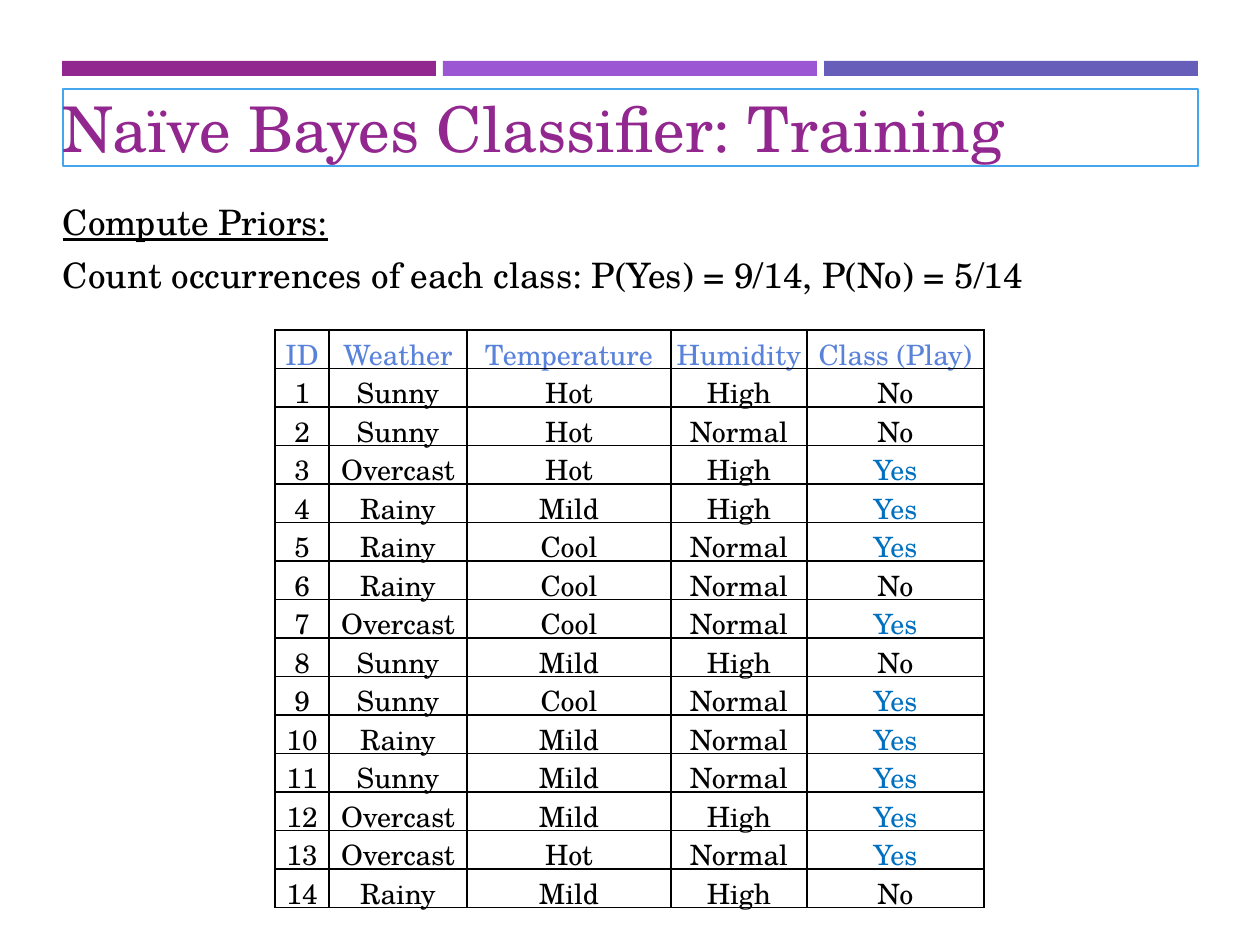
"""Build the Naïve Bayes training slide with its table of weather examples."""
from dataclasses import dataclass

from lxml.etree import SubElement
from pptx import Presentation
from pptx.dml.color import RGBColor as RGB
from pptx.enum.shapes import MSO_SHAPE as Shape
from pptx.enum.text import MSO_ANCHOR as Anchor, MSO_AUTO_SIZE as Auto, PP_ALIGN as Align
from pptx.oxml.ns import qn
from pptx.util import Emu, Pt

EMU_PER_PX = 914400 / 126


@dataclass(frozen=True)
class Theme:
    font: str = "TeX Gyre Schola"
    title_pt: int = 36
    body_pt: int = 20
    cell_pt: int = 16
    title: str = "92278F"
    frame: str = "45A5ED"
    ink: str = "000000"
    header: str = "5982DB"
    yes: str = "0070C0"
    bars: tuple[str, ...] = ("92278F", "9B57D3", "665EB8")


@dataclass(frozen=True)
class Box:
    x: int
    y: int
    w: int
    h: int

    def emu(self) -> tuple[Emu, ...]:
        return tuple(px(v) for v in (self.x, self.y, self.w, self.h))


@dataclass(frozen=True)
class Line:
    text: str
    size: int
    color: str
    align: Align = Align.LEFT
    underline: bool = False
    after: int = 0
    spacing: float = 1.0


T = Theme()
BAR, BAR_GAP = Box(62, 61, 374, 15), 7
TITLE_BOX = Box(63, 89, 1135, 77)
BODY_BOX = Box(63, 200, 1135, 96)
TABLE_BOX = Box(275, 330, 709, 578)
COL_WIDTHS = (54, 138, 204, 136, 177)

TITLE = [Line("Naïve Bayes Classifier: Training", T.title_pt, T.title)]
BODY = [
    Line("Compute Priors:", T.body_pt, T.ink, Align.JUSTIFY, True, 6),
    Line("Count occurrences of each class: P(Yes) = 9/14, P(No) = 5/14",
         T.body_pt, T.ink, after=6),
]
HEADER = ("ID", "Weather", "Temperature", "Humidity", "Class (Play)")
EXAMPLES = (
    ("Sunny", "Hot", "High", "No"),
    ("Sunny", "Hot", "Normal", "No"),
    ("Overcast", "Hot", "High", "Yes"),
    ("Rainy", "Mild", "High", "Yes"),
    ("Rainy", "Cool", "Normal", "Yes"),
    ("Rainy", "Cool", "Normal", "No"),
    ("Overcast", "Cool", "Normal", "Yes"),
    ("Sunny", "Mild", "High", "No"),
    ("Sunny", "Cool", "Normal", "Yes"),
    ("Rainy", "Mild", "Normal", "Yes"),
    ("Sunny", "Mild", "Normal", "Yes"),
    ("Overcast", "Mild", "High", "Yes"),
    ("Overcast", "Hot", "Normal", "Yes"),
    ("Rainy", "Mild", "High", "No"),
)


def px(n: int) -> Emu:
    return Emu(round(n * EMU_PER_PX))


def write(tf, lines: list[Line]) -> None:
    for i, line in enumerate(lines):
        p = tf.add_paragraph() if i else tf.paragraphs[0]
        p.alignment, p.line_spacing = line.align, line.spacing
        p.space_before, p.space_after = Pt(0), Pt(line.after)
        r = p.add_run()
        r.text = line.text
        r.font.name, r.font.size = T.font, Pt(line.size)
        r.font.underline = line.underline
        r.font.color.rgb = RGB.from_string(line.color)


def set_margins(holder, n: int) -> None:
    holder.margin_left = holder.margin_right = px(n)
    holder.margin_top = holder.margin_bottom = px(n)


def fill_frame(sp, lines: list[Line]) -> None:
    tf = sp.text_frame
    tf.word_wrap, tf.auto_size = True, Auto.SHAPE_TO_FIT_TEXT
    tf.vertical_anchor = Anchor.MIDDLE
    set_margins(tf, 0)
    write(tf, lines)


def add_rect(s, box: Box):
    sp = s.shapes.add_shape(Shape.RECTANGLE, *box.emu())
    sp.shadow.inherit = False
    return sp


def add_bars(s) -> None:
    for i, color in enumerate(T.bars):
        sp = add_rect(s, Box(BAR.x + i * (BAR.w + BAR_GAP), BAR.y, BAR.w, BAR.h))
        sp.fill.solid()
        sp.fill.fore_color.rgb = RGB.from_string(color)
        sp.line.fill.background()


def add_title(s) -> None:
    sp = add_rect(s, TITLE_BOX)
    sp.fill.background()
    sp.line.color.rgb = RGB.from_string(T.frame)
    sp.line.width = Pt(1)
    fill_frame(sp, TITLE)


def add_borders(cell) -> None:
    tc_pr = cell._tc.get_or_add_tcPr()
    for side in ("lnL", "lnR", "lnT", "lnB"):
        ln = SubElement(tc_pr, qn(f"a:{side}"), w=str(Pt(1)))
        SubElement(SubElement(ln, qn("a:solidFill")), qn("a:srgbClr"), val=T.ink)


def add_examples(s) -> None:
    rows = [HEADER] + [(str(i), *row) for i, row in enumerate(EXAMPLES, 1)]
    table = s.shapes.add_table(len(rows), len(HEADER), *TABLE_BOX.emu()).table
    table.first_row = table.horz_banding = False
    for col, width in zip(table.columns, COL_WIDTHS):
        col.width = px(width)
    for i, row in enumerate(rows):
        for j, text in enumerate(row):
            cell = table.cell(i, j)
            color = T.header if i == 0 else T.yes if text == "Yes" else T.ink
            set_margins(cell, 1)
            cell.vertical_anchor = Anchor.MIDDLE
            add_borders(cell)
            cell.fill.background()
            write(cell.text_frame,
                  [Line(text, T.cell_pt, color, Align.CENTER, after=8, spacing=1.07)])


def main() -> None:
    prs = Presentation()
    prs.slide_width, prs.slide_height = px(1260), px(945)
    s = prs.slides.add_slide(prs.slide_layouts[6])
    add_bars(s)
    add_title(s)
    fill_frame(s.shapes.add_textbox(*BODY_BOX.emu()), BODY)
    add_examples(s)
    prs.save("out.pptx")


if __name__ == "__main__":
    main()
